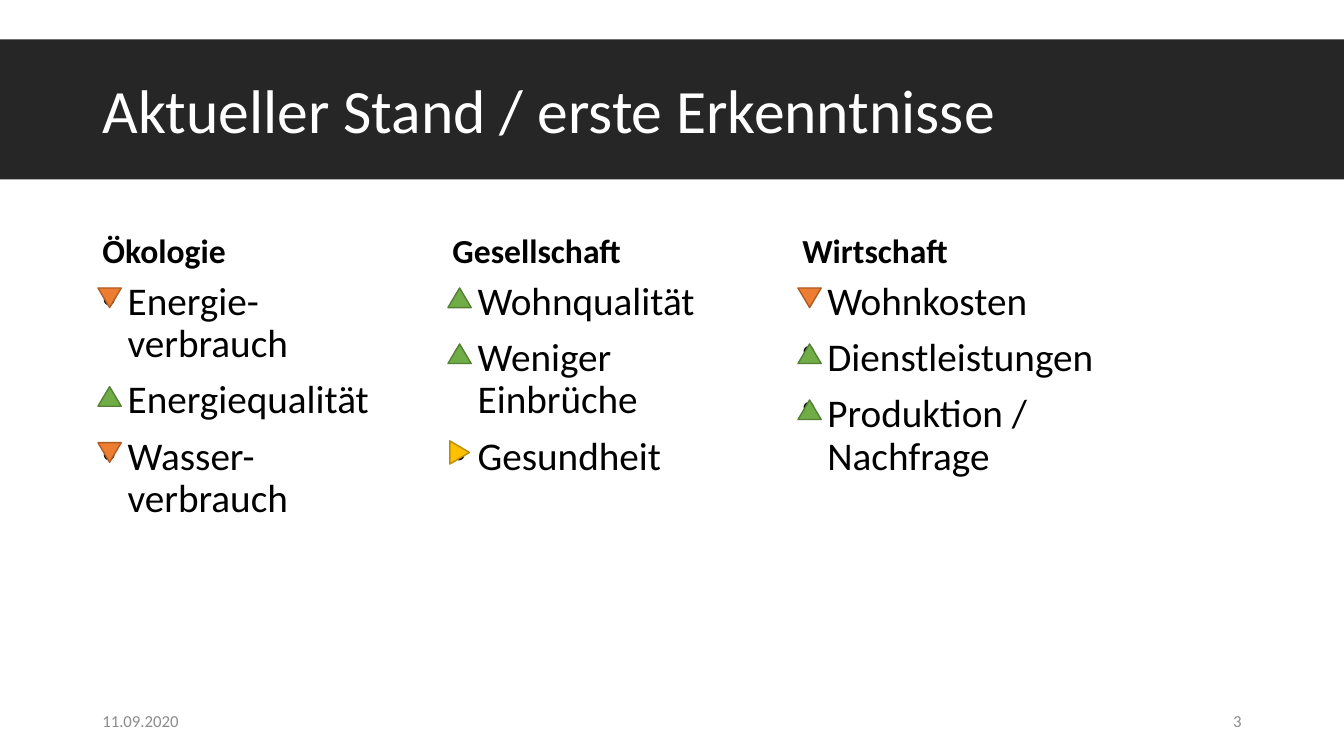
import lxml.etree
import pptx
import pptx.dml.color
import pptx.enum.shapes
import pptx.enum.text
import pptx.oxml.ns
import pptx.util

Pt = pptx.util.Pt
Color = pptx.dml.color.RGBColor
Align = pptx.enum.text.PP_ALIGN
Anchor = pptx.enum.text.MSO_ANCHOR
Shape = pptx.enum.shapes.MSO_SHAPE

BLACK = Color(0x00, 0x00, 0x00)
WHITE = Color(0xFF, 0xFF, 0xFF)
CHARCOAL = Color(0x26, 0x26, 0x26)
GREY = Color(0x8C, 0x8C, 0x8C)
GREEN = Color(0x70, 0xAD, 0x47)
DARK_GREEN = Color(0x53, 0x80, 0x35)
ORANGE = Color(0xED, 0x7D, 0x31)
DARK_ORANGE = Color(0xAF, 0x5C, 0x24)
YELLOW = Color(0xFF, 0xC0, 0x00)
DARK_YELLOW = Color(0xBD, 0x8E, 0x00)

TRENDS = {
    "up": (0, GREEN, DARK_GREEN),
    "down": (180, ORANGE, DARK_ORANGE),
    "steady": (90, YELLOW, DARK_YELLOW),
}

TITLE = {"size": Pt(44), "bold": False, "color": WHITE}
HEADING = {"size": Pt(24), "bold": True, "color": BLACK}
ITEM = {"size": Pt(28), "bold": False, "color": BLACK}
FOOTER = {"size": Pt(12), "bold": False, "color": GREY}
TIGHT = {"alignment": Align.LEFT, "line_spacing": 0.9, "space_before": Pt(0)}
SPACED = {**TIGHT, "space_before": Pt(10)}

LINE_PITCH = 30.5
ITEM_GAP = 9.5
COLUMN_STEP = 250

COLUMNS = [
    ("Ökologie", [("Energie-verbrauch", "down", 2),
                  ("Energiequalität", "up", 1),
                  ("Wasser-verbrauch", "down", 2)]),
    ("Gesellschaft", [("Wohnqualität", "up", 1),
                      ("Weniger Einbrüche", "up", 2),
                      ("Gesundheit", "steady", 1)]),
    ("Wirtschaft", [("Wohnkosten", "down", 1),
                    ("Dienstleistungen", "up", 1),
                    ("Produktion / Nachfrage", "up", 2)]),
]


def apply(target, values):
    for name, value in values.items():
        setattr(target, name, value)


def place(shape, box):
    apply(shape, dict(zip(("left", "top", "width", "height"), map(Pt, box))))


def write(shape, box, texts, font, layout, anchor):
    place(shape, box)
    frame = shape.text_frame
    apply(frame, {
        "word_wrap": True, "auto_size": pptx.enum.text.MSO_AUTO_SIZE.NONE,
        "vertical_anchor": anchor,
        "margin_left": Pt(7.2), "margin_right": Pt(7.2),
        "margin_top": Pt(3.6), "margin_bottom": Pt(3.6),
    })
    for index, text in enumerate(texts):
        para = frame.add_paragraph() if index else frame.paragraphs[0]
        apply(para, layout)
        span = para.add_run()
        apply(span, {"text": text})
        apply(span.font, {"name": "Calibri", "size": font["size"], "bold": font["bold"]})
        span.font.color.rgb = font["color"]
    return frame


def text_box(page):
    return page.shapes.add_textbox(0, 0, 0, 0)


def add_bullets(frame):
    for para in frame.paragraphs:
        properties = para._p.get_or_add_pPr()
        properties.set("marL", str(Pt(18)))
        properties.set("indent", str(-Pt(18)))
        bullet = lxml.etree.SubElement(properties, pptx.oxml.ns.qn("a:buChar"))
        bullet.set("char", "•")


def solid_shape(page, kind, box, fill):
    shape = page.shapes.add_shape(kind, *map(Pt, box))
    shape.shadow.inherit = False
    shape.fill.solid()
    shape.fill.fore_color.rgb = fill
    return shape


def add_title(page, box, text):
    left, top, width, height = box
    band = solid_shape(page, Shape.RECTANGLE, box, CHARCOAL)
    band.line.fill.background()
    title = page.shapes.title
    write(title, (left + 66, top + 0.8, 828, 104.4), [text], TITLE, TIGHT, Anchor.MIDDLE)
    band.element.addnext(title.element)


def add_trend(page, left, top, trend):
    rotation, fill, outline = TRENDS[trend]
    marker = solid_shape(page, Shape.ISOSCELES_TRIANGLE, (left, top, 16.6, 14), fill)
    marker.rotation = rotation
    marker.line.color.rgb = outline
    marker.line.width = Pt(1)


def add_column(page, box, heading, items, heading_shape, list_shape):
    left, top, width, height = box
    heading_height = 64.8
    list_top = top + heading_height
    write(heading_shape, (left, top, width, heading_height), [heading],
          HEADING, SPACED, Anchor.BOTTOM)
    frame = write(list_shape, (left, list_top, width, height - heading_height),
                  [text for text, trend, lines in items], ITEM, SPACED, Anchor.TOP)
    add_bullets(frame)
    marker_top = list_top + 8.4
    for text, trend, lines in items:
        add_trend(page, left + 4, marker_top, trend)
        marker_top += lines * LINE_PITCH + ITEM_GAP


def add_footer(page, box, date, number):
    left, top, width, height = box
    part = 216
    for offset, text, alignment in ((0, date, Align.LEFT),
                                    (width - part, number, Align.RIGHT)):
        write(text_box(page), (left + offset, top, part, height), [text],
              FOOTER, {"alignment": alignment}, Anchor.MIDDLE)


def build_comparison(deck):
    page = deck.slides.add_slide(deck.slide_layouts.get_by_name("Comparison"))
    bodies = [holder for holder in page.placeholders if holder.placeholder_format.idx]
    add_title(page, (0, 28.2, 960, 100), "Aktueller Stand / erste Erkenntnisse")
    for index, (heading, items) in enumerate(COLUMNS):
        pair = bodies[2 * index:2 * index + 2] or [text_box(page), text_box(page)]
        add_column(page, (66 + index * COLUMN_STEP, 132.5, 230, 355), heading, items, *pair)
    add_footer(page, (66, 500.5, 828, 28.8), "11.09.2020", "3")


deck = pptx.Presentation()
apply(deck, {"slide_width": Pt(960), "slide_height": Pt(540)})
build_comparison(deck)
deck.save("out.pptx")
